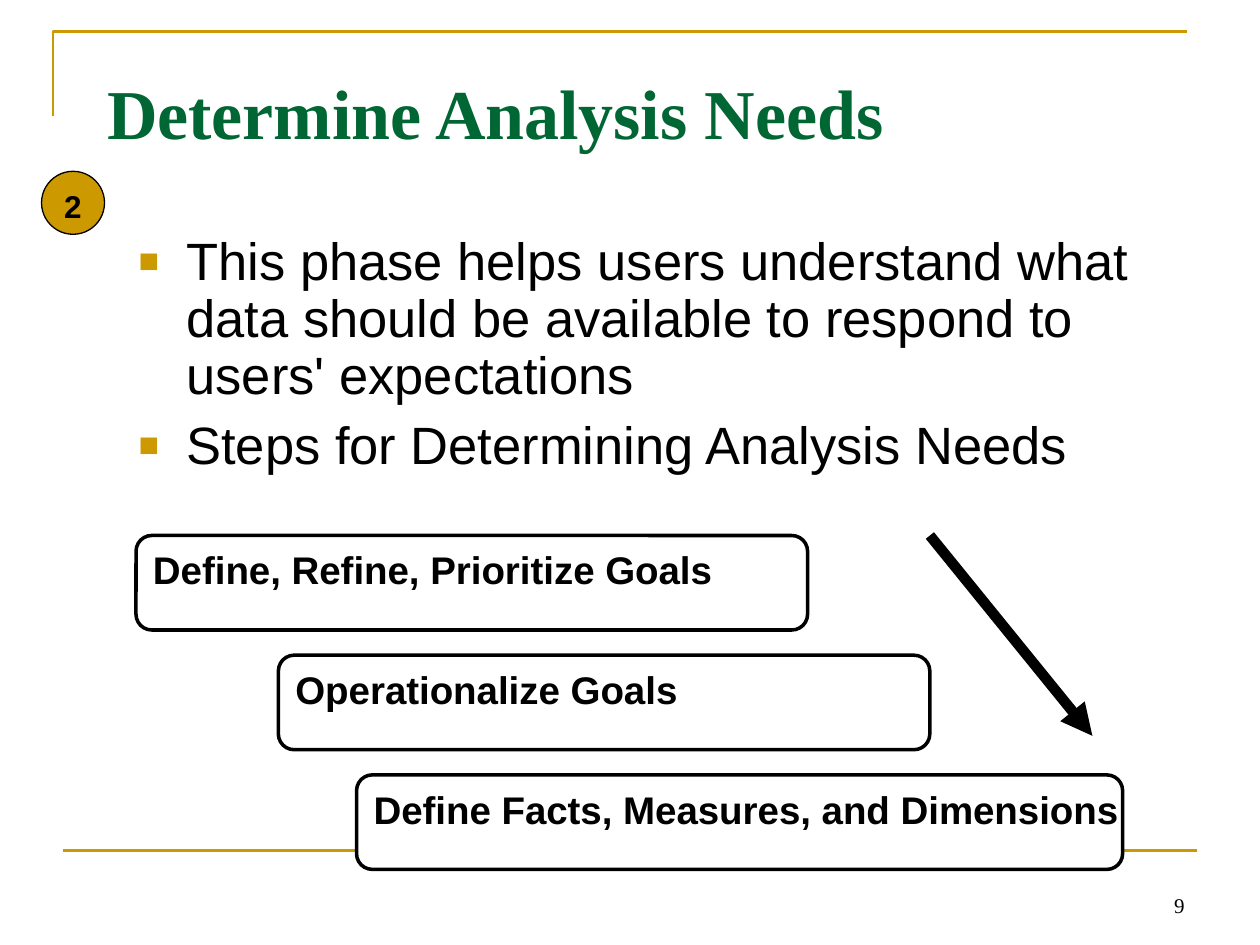
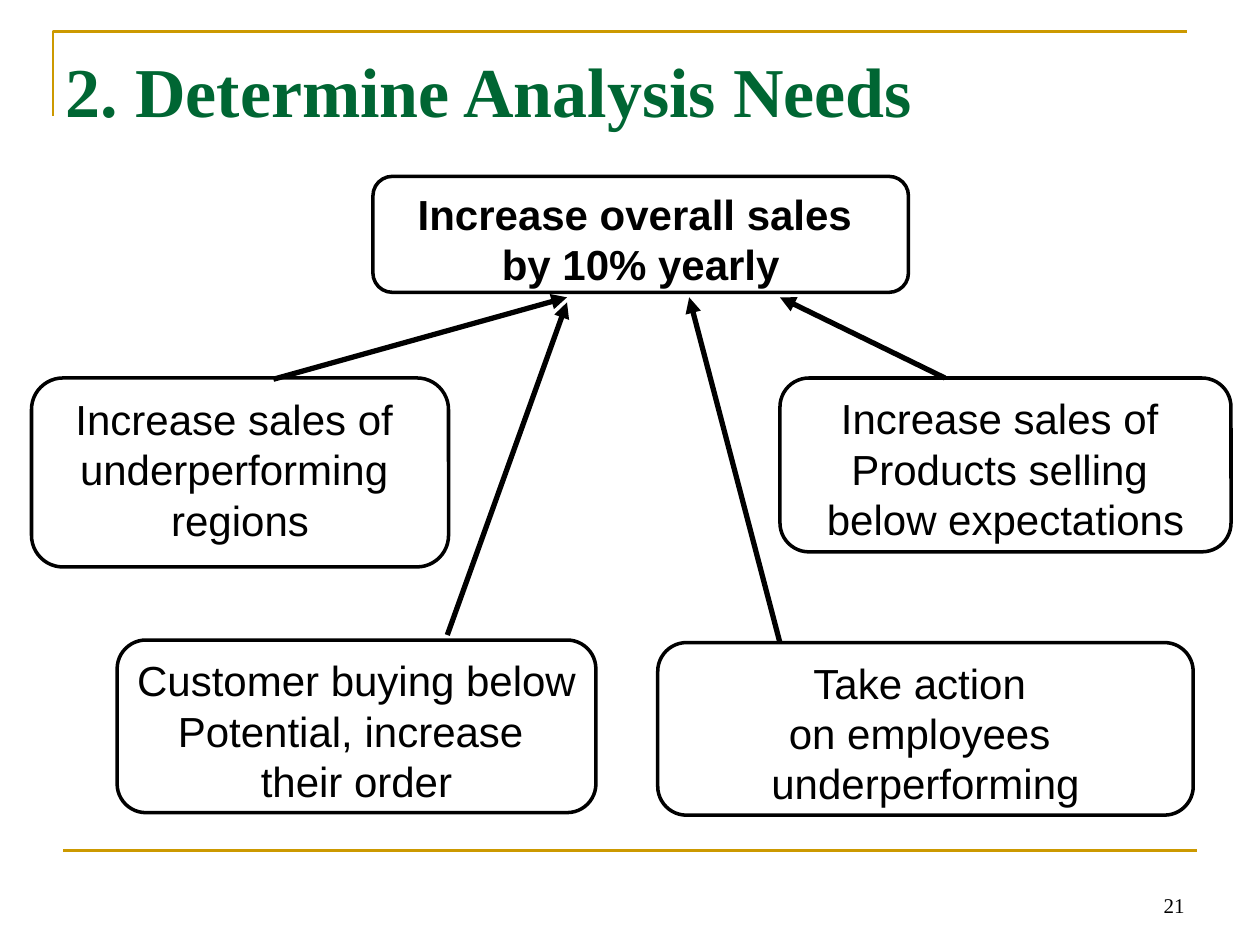
from dataclasses import dataclass

from lxml import etree
from pptx import Presentation
from pptx import util as u
from pptx.dml.color import RGBColor
from pptx.enum import shapes, text
from pptx.oxml import ns


@dataclass(frozen=True)
class Theme:
    """Colours, fonts and type sizes shared by the slides."""
    gold: str = "CC9900"
    green: str = "006633"
    black: str = "000000"
    white: str = "FFFFFF"
    serif: str = "Times New Roman"
    sans: str = "Arial"
    title: int = 40
    body: int = 30
    goal: int = 24
    step: int = 22
    badge: int = 18
    number: int = 12


T = Theme()
LEFT, CENTER, RIGHT = text.PP_ALIGN.LEFT, text.PP_ALIGN.CENTER, text.PP_ALIGN.RIGHT
TOP, BOTTOM = text.MSO_ANCHOR.TOP, text.MSO_ANCHOR.BOTTOM


def inches(*values):
    """Turn numbers into lengths."""
    return [u.Inches(v) for v in values]


def rgb(value):
    """Turn a hex string into a colour."""
    return RGBColor.from_string(value)


def move(sp, box):
    """Place a shape at left, top, width, height."""
    sp.left, sp.top, sp.width, sp.height = inches(*box)


def set_line(sp, color, width):
    """Give a shape or connector its line."""
    sp.line.color.rgb = rgb(color)
    sp.line.width = u.Pt(width)


def write(sp, lines, size, font=T.sans, color=T.black, bold=False,
          align=LEFT, anchor=TOP, wrap=True):
    """Fill a text frame with one paragraph per line and return it."""
    tf = sp.text_frame
    tf.auto_size = text.MSO_AUTO_SIZE.NONE
    tf.word_wrap = wrap
    tf.vertical_anchor = anchor
    for i, line in enumerate(lines):
        p = tf.paragraphs[0] if i == 0 else tf.add_paragraph()
        p.alignment = align
        r = p.add_run()
        r.text = line
        r.font.name = font
        r.font.size = u.Pt(size)
        r.font.bold = bold
        r.font.color.rgb = rgb(color)
    return tf


def add_line(s, start, end, color, width, arrow=False):
    """Draw a straight line, with an arrowhead at its end if asked."""
    sp = s.shapes.add_connector(shapes.MSO_CONNECTOR.STRAIGHT, *inches(*start, *end))
    set_line(sp, color, width)
    if arrow:
        etree.SubElement(sp.line._get_or_add_ln(), ns.qn("a:tailEnd"), type="triangle")
    etree.SubElement(sp._element.spPr, ns.qn("a:effectLst"))


def add_box(s, kind, box, lines, size, fill=T.white, width=2, **style):
    """Draw an outlined shape with unwrapped text."""
    sp = s.shapes.add_shape(kind, *inches(*box))
    sp.shadow.inherit = False
    sp.fill.solid()
    sp.fill.fore_color.rgb = rgb(fill)
    set_line(sp, T.black, width)
    write(sp, lines, size, wrap=False, **style)


def add_frame(s):
    """Draw the gold corner and the footer rule."""
    fb = s.shapes.build_freeform(*inches(0.42, 0.92))
    fb.add_line_segments([inches(0.42, 0.25), inches(9.42, 0.25)], close=False)
    sp = fb.convert_to_shape()
    sp.shadow.inherit = False
    sp.fill.background()
    set_line(sp, T.gold, 1.5)
    add_line(s, (0.5, 6.75), (9.5, 6.75), T.gold, 1.5)


def add_slide(prs, layout, title, title_box, number):
    """Add a slide with its frame, title and number."""
    s = prs.slides.add_slide(prs.slide_layouts.get_by_name(layout))
    move(s.shapes.title, title_box)
    write(s.shapes.title, [title], T.title, T.serif, T.green, bold=True)
    add_frame(s)
    sp = s.shapes.add_textbox(*inches(7.17, 6.83, 2.33, 0.5))
    write(sp, [number], T.number, T.serif, align=RIGHT, anchor=BOTTOM)
    return s


def add_bullets(sp, box, lines):
    """Fill the body placeholder with square-bulleted paragraphs."""
    move(sp, box)
    for p in write(sp, lines, T.body).paragraphs:
        p.line_spacing = 0.9
        p.space_before = u.Pt(7.5)
        pPr = p._p.get_or_add_pPr()
        indent = u.Inches(0.38)
        pPr.set("marL", str(indent))
        pPr.set("indent", str(-indent))
        color = etree.SubElement(pPr, ns.qn("a:buClr"))
        etree.SubElement(color, ns.qn("a:srgbClr"), val=T.gold)
        etree.SubElement(pPr, ns.qn("a:buSzPct"), val="65000")
        etree.SubElement(pPr, ns.qn("a:buFont"), typeface=T.sans)
        etree.SubElement(pPr, ns.qn("a:buChar"), char="■")


def add_steps_slide(prs):
    """Build the slide on the steps of the phase."""
    s = add_slide(prs, "Title and Content", "Determine Analysis Needs",
                  (0.75, 0.5, 9.08, 1.25), "9")
    add_bullets(s.placeholders[1], (1, 1.82, 8.17, 4.92), [
        "This phase helps users understand what data should be available "
        "to respond to users' expectations",
        "Steps for Determining Analysis Needs",
    ])
    steps = [
        (1.08, 5.33, "Define, Refine, Prioritize Goals"),
        (2.21, 5.17, "Operationalize Goals"),
        (2.83, 6.08, "Define Facts, Measures, and Dimensions"),
    ]
    for i, (left, width, step) in enumerate(steps):
        add_box(s, shapes.MSO_SHAPE.ROUNDED_RECTANGLE,
                (left, 4.25 + 0.95 * i, width, 0.75), [step], T.step, bold=True)
    add_line(s, (7.38, 4.25), (8.67, 5.84), T.black, 6, arrow=True)
    add_box(s, shapes.MSO_SHAPE.OVAL, (0.33, 1.36, 0.5, 0.5), ["2"], T.badge,
            fill=T.gold, width=0.75, bold=True, align=CENTER)


def add_goals_slide(prs):
    """Build the slide that breaks the overall goal into subgoals."""
    s = add_slide(prs, "Title Only", "2. Determine Analysis Needs",
                  (0.42, 0.33, 9.33, 1.25), "21")
    goals = [
        ((2.96, 1.4, 4.25, 0.92), ["Increase overall sales ", "by 10% yearly"], True),
        ((0.25, 3, 3.31, 1.5),
         ["Increase sales of ", "underperforming ", "regions"], False),
        ((6.19, 3, 3.58, 1.38),
         ["Increase sales of ", "Products selling ", "below expectations"], False),
        ((5.22, 5.1, 4.25, 1.37),
         ["Take action ", "on employees ", "underperforming"], False),
        ((0.93, 5.08, 3.8, 1.37),
         ["Customer buying below", "Potential, increase ", "their order"], False),
    ]
    for box, lines, bold in goals:
        add_box(s, shapes.MSO_SHAPE.ROUNDED_RECTANGLE, box, lines, T.goal,
                bold=bold, align=CENTER)
    arrows = [
        ((2.17, 3.01), (4.5, 2.36)),
        ((3.55, 5.04), (4.5, 2.4)),
        ((6.19, 5.1), (5.47, 2.36)),
        ((7.5, 3), (6.19, 2.36)),
    ]
    for start, end in arrows:
        add_line(s, start, end, T.black, 3, arrow=True)


def main():
    """Build and save the presentation."""
    prs = Presentation()
    prs.slide_width, prs.slide_height = inches(10, 7.5)
    add_steps_slide(prs)
    add_goals_slide(prs)
    prs.save("out.pptx")


if __name__ == "__main__":
    main()
